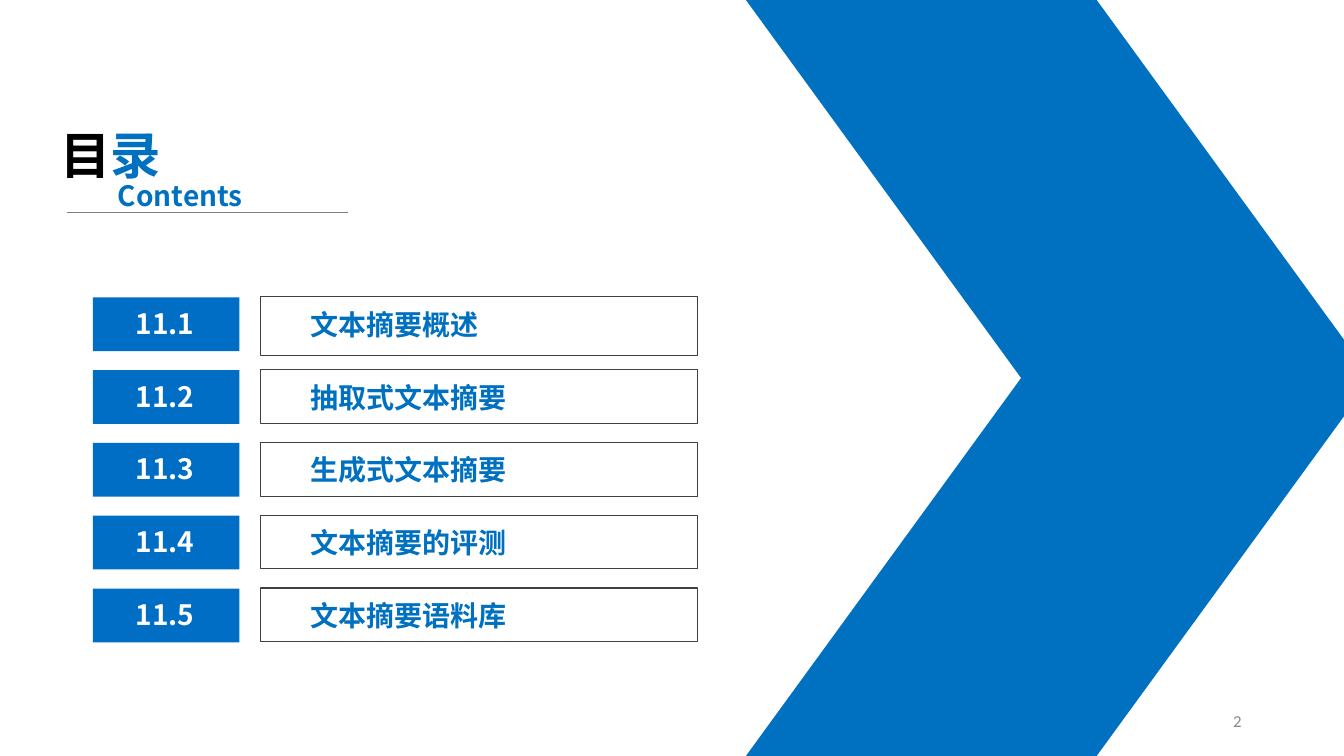
from dataclasses import dataclass

import pptx
import pptx.dml.color
import pptx.enum.shapes
import pptx.enum.text
import pptx.oxml
import pptx.oxml.ns
import pptx.util

Pt = pptx.util.Pt
SHAPE = pptx.enum.shapes.MSO_SHAPE
ALIGN = pptx.enum.text.PP_ALIGN
ANCHOR = pptx.enum.text.MSO_ANCHOR
NAMESPACE = pptx.oxml.ns.nsdecls("a")


@dataclass(frozen=True)
class Theme:
    blue: str = "0070C0"
    badge_blue: str = "006EC5"
    black: str = "000000"
    white: str = "FFFFFF"
    frame: str = "404040"
    rule: str = "7F7F7F"
    page_grey: str = "898989"
    font: str = "Noto Sans CJK SC"
    page_font: str = "Calibri"
    title_size: int = 36
    text_size: int = 20
    page_size: int = 12


THEME = Theme()
SECTIONS = ["文本摘要概述", "抽取式文本摘要", "生成式文本摘要", "文本摘要的评测", "文本摘要语料库"]
FIRST_ROW_TOP = 212.4
ROW_PITCH = 52
ROW_HEIGHT = 38.4
FIRST_FRAME_HEIGHT = 42


def rgb(value):
    return pptx.dml.color.RGBColor.from_string(value)


def add_block(slide, kind, box, fill=None, line=None):
    shape = slide.shapes.add_shape(kind, *map(Pt, box))
    shape.shadow.inherit = False
    if fill:
        shape.fill.solid()
        shape.fill.fore_color.rgb = rgb(fill)
    else:
        shape.fill.background()
    if line:
        shape.line.color.rgb = rgb(line)
        shape.line.width = Pt(0.75)
    else:
        shape.line.fill.background()
    return shape


def add_text(slide, box, pieces, size=THEME.text_size, font=THEME.font, bold=True,
             align=ALIGN.LEFT, anchor=ANCHOR.TOP):
    """Add one line of text made of (text, colour) pieces."""
    frame = slide.shapes.add_textbox(*map(Pt, box)).text_frame
    frame.word_wrap = True
    frame.vertical_anchor = anchor
    paragraph = frame.paragraphs[0]
    paragraph.alignment = align
    paragraph.font.size = Pt(size)
    paragraph.font.bold = bold
    paragraph.font.name = font
    east_asian = pptx.oxml.parse_xml(f'<a:ea {NAMESPACE} typeface="{font}"/>')
    paragraph.font._element.append(east_asian)
    for text, color in pieces:
        run = paragraph.add_run()
        run.text = text
        run.font.color.rgb = rgb(color)


def add_rule(slide, left, right, y):
    line = slide.shapes.add_connector(
        pptx.enum.shapes.MSO_CONNECTOR.STRAIGHT, Pt(left), Pt(y), Pt(right), Pt(y))
    line.line.color.rgb = rgb(THEME.rule)
    line.line.width = Pt(0.5)
    line.element.spPr.append(pptx.oxml.parse_xml(f"<a:effectLst {NAMESPACE}/>"))


def add_chevron(slide):
    """Stack two mirrored parallelograms into an arrow pointing right."""
    for top, flipped in ((270, False), (0, True)):
        half = add_block(slide, SHAPE.PARALLELOGRAM, (532.8, top, 447.12, 270), THEME.blue)
        half.adjustments[0] = 0.728
        if flipped:
            half.element.spPr.xfrm.set("flipV", "1")


def add_heading(slide):
    add_text(slide, (36, 85, 113, 51), [("目", THEME.black), ("录", THEME.blue)],
             THEME.title_size)
    add_rule(slide, 47.8, 248.4, 151.6)
    add_text(slide, (77.2, 123.8, 113, 31.5), [("Contents", THEME.blue)])


def add_section(slide, index, title):
    top = FIRST_ROW_TOP + index * ROW_PITCH
    frame_height = ROW_HEIGHT if index else FIRST_FRAME_HEIGHT
    add_block(slide, SHAPE.RECTANGLE, (185.8, top - 0.4, 312.6, frame_height),
              line=THEME.frame)
    add_text(slide, (214.4, top + 3.5, 265, 31.5), [(title, THEME.blue)])
    add_block(slide, SHAPE.RECTANGLE, (66.4, top, 104.6, ROW_HEIGHT), THEME.badge_blue)
    add_text(slide, (80.2, top + 2.9, 75.6, 31.5), [(f"11.{index + 1}", THEME.white)],
             align=ALIGN.CENTER)


def main():
    presentation = pptx.Presentation()
    presentation.slide_width, presentation.slide_height = Pt(960), Pt(540)
    slide = presentation.slides.add_slide(presentation.slide_layouts[6])
    add_chevron(slide)
    add_heading(slide)
    for index, title in enumerate(SECTIONS):
        add_section(slide, index, title)
    add_text(slide, (678, 500.5, 216, 28.8), [("2", THEME.page_grey)], THEME.page_size,
             THEME.page_font, bold=False, align=ALIGN.RIGHT, anchor=ANCHOR.MIDDLE)
    presentation.save("out.pptx")


if __name__ == "__main__":
    main()
